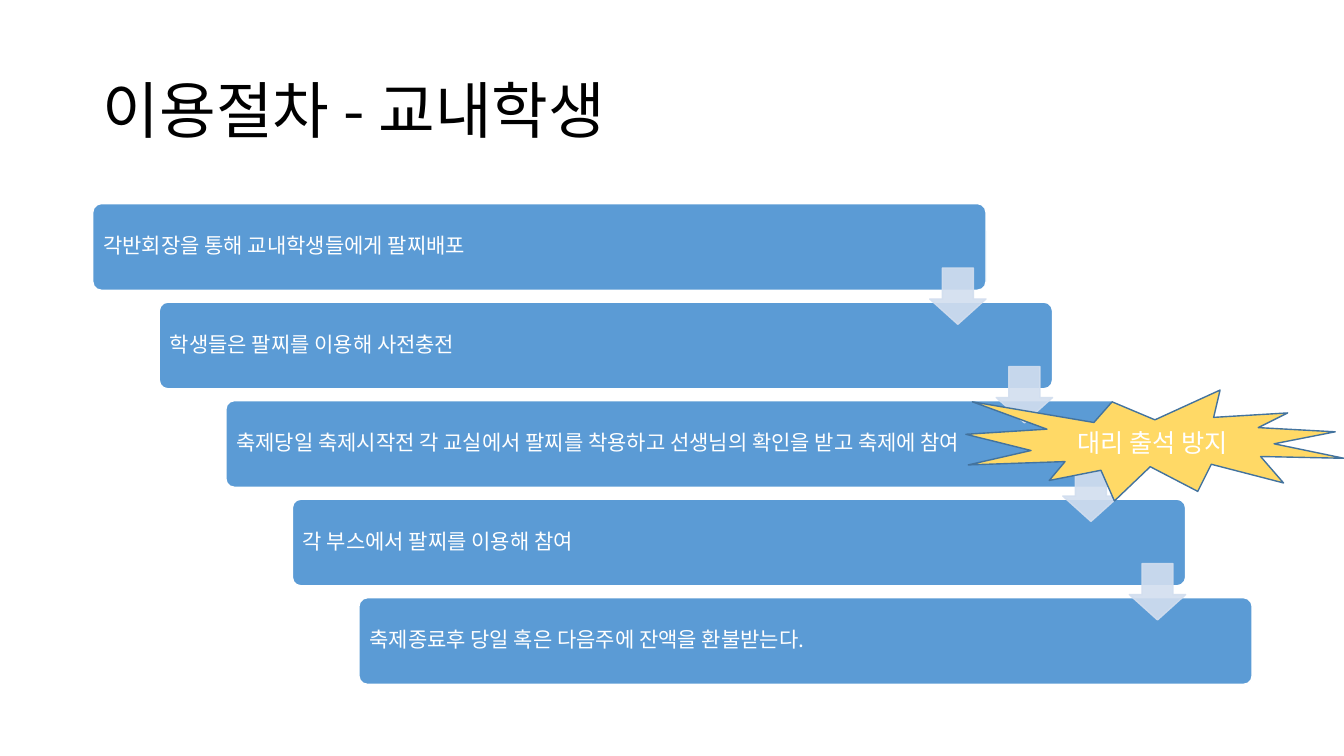
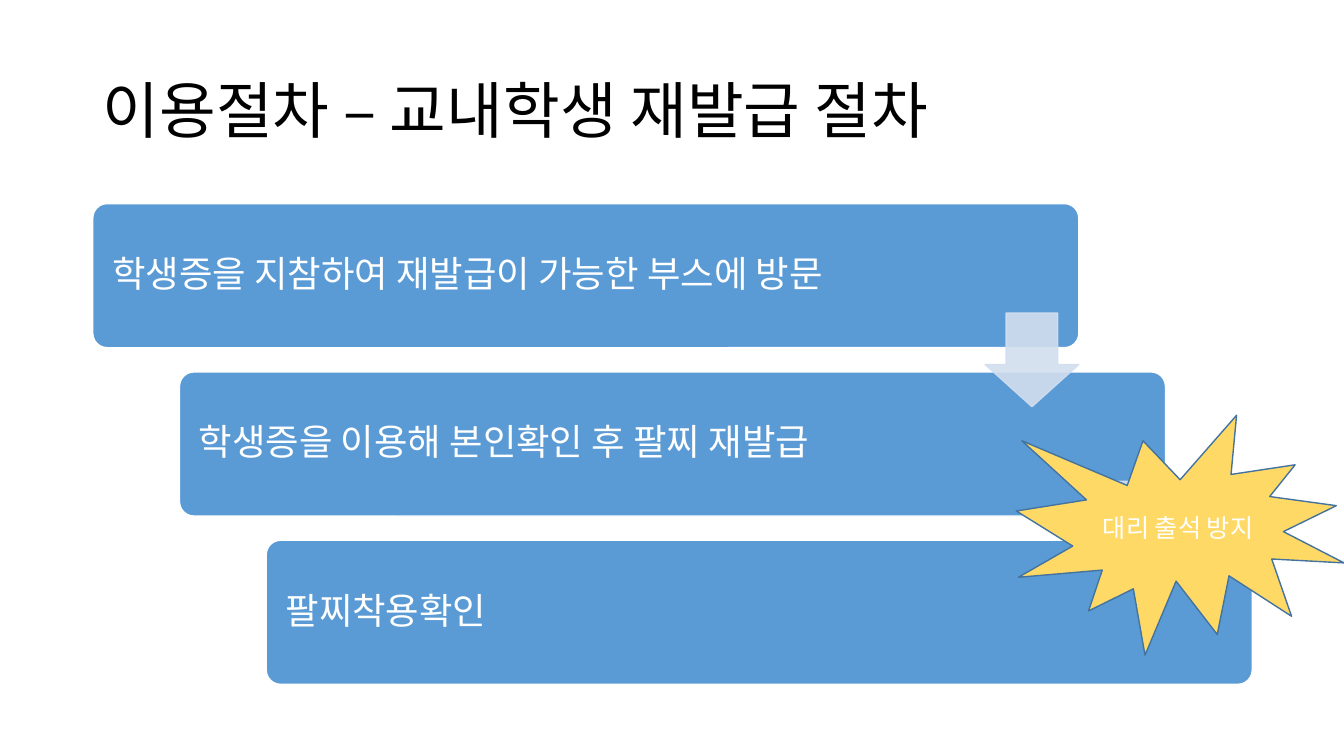
import pptx
import pptx.util
import pptx.dml.color
import pptx.enum.shapes
import pptx.enum.text
import pptx.oxml
import pptx.oxml.ns

Inches = pptx.util.Inches
Pt = pptx.util.Pt
RGBColor = pptx.dml.color.RGBColor
MSO_SHAPE = pptx.enum.shapes.MSO_SHAPE
PP_ALIGN = pptx.enum.text.PP_ALIGN
MSO_ANCHOR = pptx.enum.text.MSO_ANCHOR
qn = pptx.oxml.ns.qn

FONT = "Noto Sans CJK KR"
BLACK = RGBColor(0x00, 0x00, 0x00)
WHITE = RGBColor(0xFF, 0xFF, 0xFF)
BLUE = RGBColor(0x5B, 0x9B, 0xD5)
PALE_BLUE = RGBColor(0xD2, 0xDE, 0xEF)
DARK_BLUE = RGBColor(0x43, 0x73, 0x9E)
YELLOW = RGBColor(0xFF, 0xD9, 0x66)

SLIDE_WIDTH, SLIDE_HEIGHT = 13.33, 7.5
LEFT, CONTENT_WIDTH = 0.92, 11.5
TITLE_TOP, TITLE_HEIGHT = 0.4, 1.45
STAIRS_TOP, STAIRS_HEIGHT = 2.02, 4.77
ARROW_RATIO = 0.65
ARROW_OPACITY = 90000
WARNING = "대리 출석 방지"

PROCEDURES = [
    {
        "title": "이용절차 - 교내학생",
        "steps": [
            "각반회장을 통해 교내학생들에게 팔찌배포",
            "학생들은 팔찌를 이용해 사전충전",
            "축제당일 축제시작전 각 교실에서 팔찌를 착용하고 선생님의 확인을 받고 축제에 참여",
            "각 부스에서 팔찌를 이용해 참여",
            "축제종료후 당일 혹은 다음주에 잔액을 환불받는다.",
        ],
        "step_size": (8.86, 0.86),
        "text_size": 15,
        "inset": 0.08,
        "burst": (3.87, 3.75, 1.1),
    },
    {
        "title": "이용절차 – 교내학생 재발급 절차",
        "steps": [
            "학생증을 지참하여 재발급이 가능한 부스에 방문",
            "학생증을 이용해 본인확인 후 팔찌 재발급",
            "팔찌착용확인",
        ],
        "step_size": (9.78, 1.43),
        "text_size": 26,
        "inset": 0.15,
        "burst": (4.12, 3.25, 2.38),
    },
]


def write(shape, text, size, color=WHITE, align=PP_ALIGN.LEFT, spacing=0.9, inset=0.1):
    frame = shape.text_frame
    frame.word_wrap = True
    frame.vertical_anchor = MSO_ANCHOR.MIDDLE
    frame.margin_left = frame.margin_right = Inches(inset)
    paragraph = frame.paragraphs[0]
    paragraph.alignment = align
    paragraph.line_spacing = spacing
    run = paragraph.add_run()
    run.text = text
    run.font.size = Pt(size)
    run.font.name = FONT
    run.font.color.rgb = color
    latin = run.font._element.find(qn("a:latin"))
    east_asian = pptx.oxml.parse_xml(f'<a:ea {pptx.oxml.ns.nsdecls("a")} typeface="{FONT}"/>')
    latin.addnext(east_asian)


def add_figure(slide, kind, box, fill, line, adjustments=()):
    shape = slide.shapes.add_shape(kind, *map(Inches, box))
    shape.shadow.inherit = False
    shape.fill.solid()
    shape.fill.fore_color.rgb = fill
    shape.line.color.rgb = line
    shape.line.width = Pt(1)
    for index, value in enumerate(adjustments):
        shape.adjustments[index] = value
    return shape


def make_translucent(shape, opacity):
    for color in shape.element.spPr.iter(qn("a:srgbClr")):
        alpha = pptx.oxml.parse_xml(f'<a:alpha {pptx.oxml.ns.nsdecls("a")} val="{opacity}"/>')
        color.append(alpha)


def add_stairs(slide, steps, step_size, text_size, inset):
    width, height = step_size
    shift = (CONTENT_WIDTH - width) / (len(steps) - 1)
    drop = (STAIRS_HEIGHT - height) / (len(steps) - 1)
    for index, text in enumerate(steps):
        box = (LEFT + index * shift, STAIRS_TOP + index * drop, width, height)
        step = add_figure(slide, MSO_SHAPE.ROUNDED_RECTANGLE, box, BLUE, WHITE, (0.1,))
        write(step, text, text_size, inset=inset)
    side = height * ARROW_RATIO
    for index in range(len(steps) - 1):
        right = LEFT + index * shift + width
        gap_middle = STAIRS_TOP + index * drop + (height + drop) / 2
        box = (right - side, gap_middle - side / 2, side, side)
        arrow = add_figure(slide, MSO_SHAPE.DOWN_ARROW, box, PALE_BLUE, PALE_BLUE, (0.55, 0.45))
        make_translucent(arrow, ARROW_OPACITY)


def add_procedure(deck, procedure):
    slide = deck.slides.add_slide(deck.slide_layouts[6])
    title_box = (LEFT, TITLE_TOP, CONTENT_WIDTH, TITLE_HEIGHT)
    title = slide.shapes.add_textbox(*map(Inches, title_box))
    write(title, procedure["title"], 44, color=BLACK)
    add_stairs(slide, procedure["steps"], procedure["step_size"],
               procedure["text_size"], procedure["inset"])
    top, width, height = procedure["burst"]
    burst_box = (SLIDE_WIDTH - width, top, width, height)
    burst = add_figure(slide, MSO_SHAPE.EXPLOSION1, burst_box, YELLOW, DARK_BLUE)
    write(burst, WARNING, 18, align=PP_ALIGN.CENTER, spacing=1.0)


def main():
    """Build the two festival procedure slides."""
    deck = pptx.Presentation()
    deck.slide_width = Inches(SLIDE_WIDTH)
    deck.slide_height = Inches(SLIDE_HEIGHT)
    for procedure in PROCEDURES:
        add_procedure(deck, procedure)
    deck.save("out.pptx")


if __name__ == "__main__":
    main()
